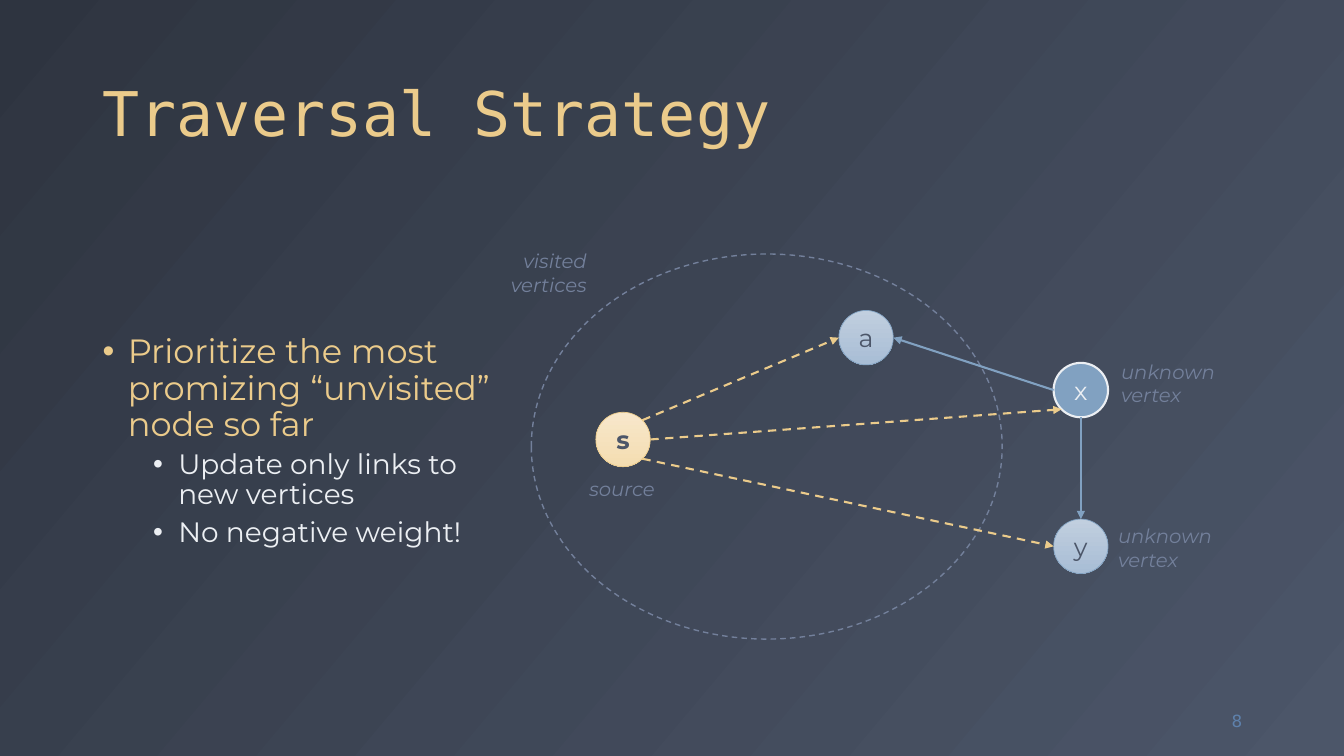
"""Build the Traversal Strategy slide."""
from math import cos, radians, sin

from lxml import etree
from pptx import Presentation
from pptx.dml.color import RGBColor
from pptx.enum import dml, shapes, text
from pptx.oxml import ns
from pptx.util import Inches, Pt

GOLD = RGBColor(0xEB, 0xCB, 0x8B)
CREAM = RGBColor(0xF7, 0xE7, 0xCB)
SAND = RGBColor(0xF4, 0xDD, 0xB1)
MIST = RGBColor(0xC1, 0xCF, 0xDF)
SKY = RGBColor(0xA8, 0xBD, 0xD5)
BLUE = RGBColor(0x81, 0xA1, 0xC1)
DEEP = RGBColor(0x5E, 0x81, 0xAC)
GRAY = RGBColor(0x73, 0x80, 0x9B)
SNOW = RGBColor(0xEC, 0xEF, 0xF3)
NIGHT = RGBColor(0x2E, 0x34, 0x40)
SLATE = RGBColor(0x4C, 0x56, 0x69)
SANS, MONO, BODY = "DejaVu Sans", "DejaVu Sans Mono", "Montserrat"
LEFT, MID, RIGHT = text.PP_ALIGN.LEFT, text.PP_ALIGN.CENTER, text.PP_ALIGN.RIGHT
TOP, CENTER, BOTTOM = (text.MSO_ANCHOR.TOP, text.MSO_ANCHOR.MIDDLE,
                       text.MSO_ANCHOR.BOTTOM)
SIZE = 0.54


def shade(fill, first, last, angle):
    """Fill with a two-colour gradient."""
    fill.gradient()
    fill.gradient_angle = angle
    for stop, color in zip(fill.gradient_stops, (first, last)):
        stop.color.rgb = color


def style(para, face, size, color, align=LEFT, bold=False, italic=False):
    """Format a paragraph and its runs."""
    para.alignment = align
    for run in para.runs:
        font = run.font
        font.name, font.size, font.color.rgb = face, Pt(size), color
        font.bold, font.italic = bold, italic


def label(slide, box, lines, face, size, color, align=LEFT, anchor=TOP,
          italic=False):
    """Add a text box with one paragraph per line."""
    frame = slide.shapes.add_textbox(*map(Inches, box)).text_frame
    frame.word_wrap, frame.vertical_anchor = True, anchor
    frame.text = "\n".join(lines)
    for para in frame.paragraphs:
        style(para, face, size, color, align, italic=italic)
    return frame


def bullet(para, indent):
    """Give a paragraph a hanging bullet."""
    props = para._p.get_or_add_pPr()
    props.set("marL", str(Inches(indent)))
    props.set("indent", str(Inches(-0.25)))
    etree.SubElement(props, ns.qn("a:buFont")).set("typeface", "Arial")
    etree.SubElement(props, ns.qn("a:buChar")).set("char", "•")


def points(slide, box, items):
    """Add the bullet list of (level, wording) items."""
    frame = label(slide, box, [item[1] for item in items], BODY, 24, GOLD,
                  anchor=CENTER)
    for num, (para, (level, _)) in enumerate(zip(frame.paragraphs, items)):
        para.level, para.line_spacing = level, 0.9
        if num:
            para.space_before = Pt(5)
        bullet(para, 0.25 + 0.5 * level)
        if level:
            style(para, BODY, 20, SNOW)


def oval(slide, box, color, width):
    """Add an unfilled ellipse."""
    shape = slide.shapes.add_shape(shapes.MSO_SHAPE.OVAL, *map(Inches, box))
    shape.shadow.inherit = False
    shape.fill.background()
    shape.line.color.rgb, shape.line.width = color, Pt(width)
    return shape


def vertex(slide, name, left, top, fills, edge, width, ink, bold=False):
    """Add a named graph vertex."""
    shape = oval(slide, (left, top, SIZE, SIZE), edge, width)
    if len(fills) == 2:
        shade(shape.fill, *fills, 270)
    else:
        shape.fill.solid()
        shape.fill.fore_color.rgb = fills[0]
    frame = shape.text_frame
    frame.text, frame.vertical_anchor = name, CENTER
    frame.margin_left = frame.margin_right = 0
    style(frame.paragraphs[0], BODY, 18, ink, MID, bold)
    return shape


def site(shape, spot):
    """Locate one of the eight ellipse sites, counted from the top."""
    turn, half = radians(90 + 45 * spot), shape.width / 2
    return (round(shape.left + half + half * cos(turn)),
            round(shape.top + half - half * sin(turn)))


def edge(slide, start, out, end, into, color, dash=False):
    """Join two vertices with an arrow."""
    link = slide.shapes.add_connector(
        shapes.MSO_CONNECTOR.STRAIGHT, *site(start, out), *site(end, into))
    link.line.color.rgb, link.line.width = color, Pt(1.5)
    if dash:
        link.line.dash_style = dml.MSO_LINE.DASH
    props = link._element.spPr
    etree.SubElement(props.find(ns.qn("a:ln")),
                     ns.qn("a:tailEnd")).set("type", "triangle")
    etree.SubElement(props, ns.qn("a:effectLst"))
    joins = link._element.nvCxnSpPr.cNvCxnSpPr
    for tag, shape, spot in (("a:stCxn", start, out), ("a:endCxn", end, into)):
        join = etree.SubElement(joins, ns.qn(tag))
        join.set("id", str(shape.shape_id))
        join.set("idx", str(spot))


def main():
    """Build and save the slide."""
    deck = Presentation()
    deck.slide_width, deck.slide_height = Inches(13.33), Inches(7.5)
    slide = deck.slides.add_slide(deck.slide_layouts[6])
    shade(slide.background.fill, NIGHT, SLATE, 320)

    title = label(slide, (0.92, 0.18, 11.5, 1.36), ["Traversal Strategy"],
                  MONO, 44, GOLD, anchor=BOTTOM)
    title.paragraphs[0].line_spacing = 0.9
    label(slide, (11.59, 6.95, 0.83, 0.4), ["8"], SANS, 12, DEEP, RIGHT, CENTER)
    points(slide, (0.92, 2, 4.06, 4.76), (
        (0, "Prioritize the most promizing “unvisited” node so far"),
        (1, "Update only links to new vertices"),
        (1, "No negative weight!")))

    s = vertex(slide, "s", 5.91, 4.09, (CREAM, SAND), GOLD, 0.5, SLATE, True)
    a = vertex(slide, "a", 8.32, 3.08, (MIST, SKY), BLUE, 0.5, SLATE)
    zone = oval(slide, (5.27, 2.52, 4.67, 3.82), GRAY, 1)
    zone.line.dash_style = dml.MSO_LINE.DASH
    x = vertex(slide, "x", 10.45, 3.6, (BLUE,), SNOW, 1.5, SNOW)
    y = vertex(slide, "y", 10.45, 5.15, (MIST, SKY), BLUE, 0.5, SLATE)

    for out, end, into in ((7, a, 2), (6, x, 3), (5, y, 2)):
        edge(slide, s, out, end, into, GOLD, True)
    for out, end, into in ((2, a, 6), (4, y, 0)):
        edge(slide, x, out, end, into, BLUE)

    for box, lines, align in (
            ((4.96, 2.42, 0.96, 0.57), ("visited", "vertices"), RIGHT),
            ((5.74, 4.68, 0.86, 0.34), ("source",), MID),
            ((11.02, 3.52, 1.19, 0.57), ("unknown", "vertex"), LEFT),
            ((10.99, 5.15, 1.19, 0.57), ("unknown", "vertex"), LEFT)):
        label(slide, box, lines, BODY, 14, GRAY, align, italic=True)
    deck.save("out.pptx")


if __name__ == "__main__":
    main()
